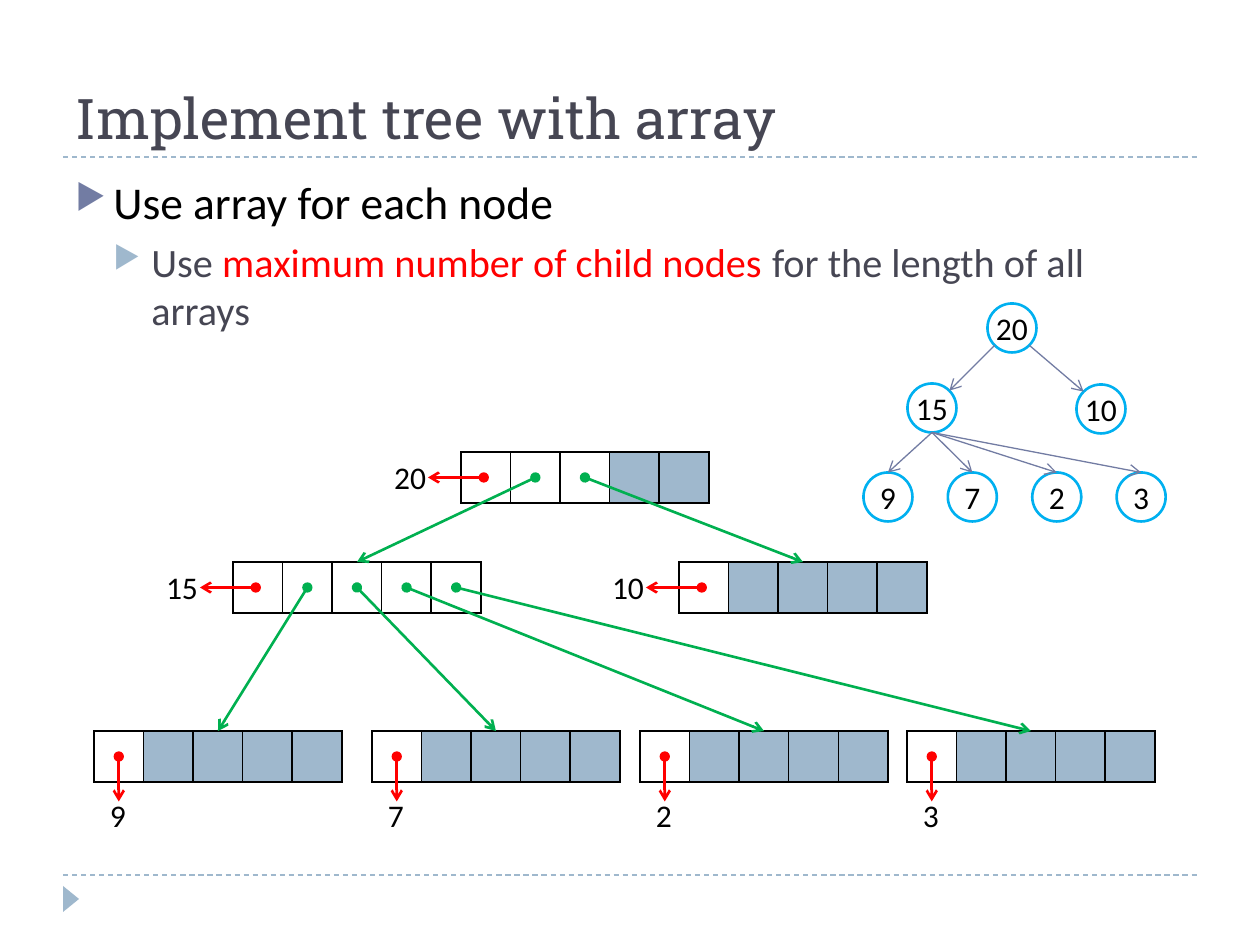
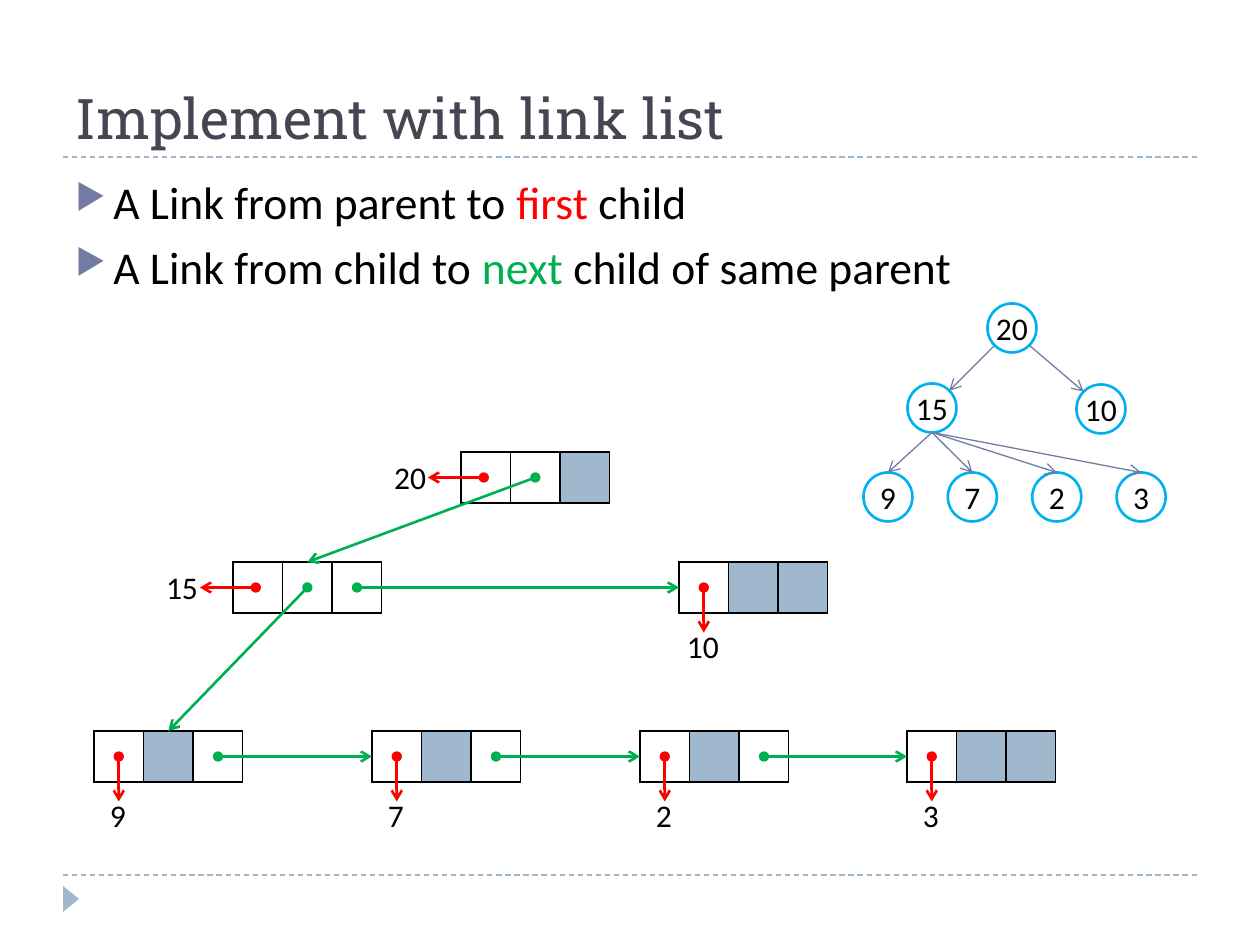
import dataclasses

import lxml.etree
import pptx
import pptx.dml.color
import pptx.enum.dml
import pptx.enum.shapes
import pptx.enum.text
import pptx.oxml.ns
import pptx.util


@dataclasses.dataclass(frozen=True)
class Theme:
    ink: str = "000000"
    title: str = "464653"
    band: str = "9FB8CD"
    accent: str = "727CA3"
    red: str = "FF0000"
    green: str = "00B050"
    ring: str = "00B0F0"
    head_font: str = "Roboto Slab"
    body_font: str = "Calibri"
    title_size: int = 32
    body_sizes: tuple = (26, 23)
    value_size: int = 18
    thin: float = 0.75
    thick: float = 1.5


T = Theme()
SCALE = 914400 / 126
CELL_W, CELL_H = 49.6, 51
NODE = 49

ORIGINS = {
    "20": (461, 452), "15": (233, 562), "10": (679, 562),
    "9": (94, 731), "7": (372, 731), "2": (640, 731), "3": (907, 731),
}
NODES = {"20": (1012, 328), "15": (932, 408), "10": (1101, 409)}
LEAVES = ["9", "7", "2", "3"]
NODES.update({leaf: (888 + 84.4 * i, 497) for i, leaf in enumerate(LEAVES)})

SLIDES = [
    {
        "title": "Implement tree with array",
        "body": [
            (0, [("Use array for each node", T.ink)]),
            (1, [("Use ", T.title), ("maximum number of child nodes ", T.red),
                 ("for the length of all arrays", T.title)]),
        ],
        "arrays": {"20": "xxx--", "15": "xxxxx", "10": "x----",
                   "9": "x----", "7": "x----", "2": "x----", "3": "x----"},
        "links": [("20", 1, "15"), ("20", 2, "10"), ("15", 1, "9"),
                  ("15", 2, "7"), ("15", 3, "2"), ("15", 4, "3")],
        "values_left": ["20", "15", "10"],
    },
    {
        "title": "Implement with link list",
        "body": [
            (0, [("A Link from parent to ", T.ink), ("first", T.red),
                 (" child", T.ink)]),
            (0, [("A Link from child to ", T.ink), ("next", T.green),
                 (" child of same parent", T.ink)]),
        ],
        "arrays": {"20": "xx-", "15": "xxx", "10": "x--",
                   "9": "x-x", "7": "x-x", "2": "x-x", "3": "x--"},
        "links": [("20", 1, "15"), ("15", 1, "9"), ("15", 2, "10"),
                  ("9", 2, "7"), ("7", 2, "2"), ("2", 2, "3")],
        "values_left": ["20", "15"],
    },
]


def px(n):
    return pptx.util.Emu(round(n * SCALE))


def rgb(color):
    return pptx.dml.color.RGBColor.from_string(color)


def sub(parent, tag, **attrs):
    return lxml.etree.SubElement(parent, pptx.oxml.ns.qn(tag), attrs)


def write(p, text, size=T.value_size, color=T.ink, font=T.body_font, align=None):
    r = p.add_run()
    r.text = text
    r.font.size = pptx.util.Pt(size)
    r.font.name = font
    r.font.color.rgb = rgb(color)
    if align is not None:
        p.alignment = align


def add_line(slide, start, end, color, width, head=None, tail=None, dash=False):
    c = slide.shapes.add_connector(
        pptx.enum.shapes.MSO_CONNECTOR.STRAIGHT, *map(px, (*start, *end)))
    c.line.color.rgb = rgb(color)
    c.line.width = pptx.util.Pt(width)
    if dash:
        c.line.dash_style = pptx.enum.dml.MSO_LINE.DASH
    ln = c.line._get_or_add_ln()
    if head:
        sub(ln, "a:headEnd", type=head)
    if tail:
        sub(ln, "a:tailEnd", type=tail)
    sub(c._element.spPr, "a:effectLst")


def add_frame(slide, title):
    for y in (157, 875):
        add_line(slide, (63, y), (1197, y), T.band, T.thin, dash=True)
    sp = slide.shapes.add_shape(
        pptx.enum.shapes.MSO_SHAPE.ISOSCELES_TRIANGLE, *map(px, (58, 891, 26, 16)))
    sp.rotation = 90
    sp.shadow.inherit = False
    sp.fill.solid()
    sp.fill.fore_color.rgb = rgb(T.band)
    sp.line.fill.background()
    sp = slide.shapes.title
    sp.left, sp.top, sp.width, sp.height = map(px, (63, 21, 1134, 136))
    tf = sp.text_frame
    tf.auto_size = pptx.enum.text.MSO_AUTO_SIZE.NONE
    tf.vertical_anchor = pptx.enum.text.MSO_ANCHOR.BOTTOM
    write(tf.paragraphs[0], title, size=T.title_size, color=T.title,
          font=T.head_font, align=pptx.enum.text.PP_ALIGN.LEFT)


def add_body(slide, items):
    tf = slide.shapes.add_textbox(*map(px, (63, 168, 1134, 680))).text_frame
    tf.word_wrap = True
    for i, (level, runs) in enumerate(items):
        p = tf.add_paragraph() if i else tf.paragraphs[0]
        p.level = level
        p.space_before = pptx.util.Pt(6 - level)
        pPr = p._p.get_or_add_pPr()
        pPr.set("marL", str(px(38 * (level + 1))))
        pPr.set("indent", str(px(-38)))
        sub(sub(pPr, "a:buClr"), "a:srgbClr", val=(T.accent, T.band)[level])
        sub(pPr, "a:buSzPct", val="76000")
        sub(pPr, "a:buChar", char="\u25b6")
        for text, color in runs:
            write(p, text, size=T.body_sizes[level], color=color)


def add_array(slide, origin, cells):
    size = (len(cells) * CELL_W, CELL_H)
    table = slide.shapes.add_table(1, len(cells), *map(px, (*origin, *size))).table
    table.first_row = table.horz_banding = False
    for i, mark in enumerate(cells):
        table.columns[i].width = px(CELL_W)
        cell = table.cell(0, i)
        tcPr = cell._tc.get_or_add_tcPr()
        for side in "LRTB":
            ln = sub(tcPr, f"a:ln{side}", w=str(pptx.util.Pt(1)))
            sub(sub(ln, "a:solidFill"), "a:srgbClr", val=T.ink)
        if mark == "-":
            cell.fill.solid()
            cell.fill.fore_color.rgb = rgb(T.band)
        else:
            cell.fill.background()


def cell_center(key, i):
    x, y = ORIGINS[key]
    return x + (i + 0.5) * CELL_W, y + CELL_H / 2


def add_link(slide, arrays, source, i, target):
    x, y = ORIGINS[target]
    if y == ORIGINS[source][1]:
        end = (x, y + CELL_H / 2)
    else:
        end = (x + len(arrays[target]) * CELL_W / 2, y)
    add_line(slide, cell_center(source, i), end, T.green, T.thick, "oval", "arrow")


def add_value(slide, key, to_left):
    x, y = ORIGINS[key]
    cx, cy = cell_center(key, 0)
    if to_left:
        start, end, label = (cx - 2, cy), (x - 33, cy), (x - 51, y)
    else:
        start, end, label = (cx, cy), (cx, cy + 45), (cx - 1, y + 59)
    add_line(slide, start, end, T.red, T.thick, "oval", "arrow")
    w = 57 if len(key) > 1 else 42
    box = (label[0] - w / 2, label[1], w, 50)
    tf = slide.shapes.add_textbox(*map(px, box)).text_frame
    tf.word_wrap = False
    write(tf.paragraphs[0], key, align=pptx.enum.text.PP_ALIGN.CENTER)


def add_tree(slide):
    half, diag = NODE / 2, NODE / 2 * 0.71
    for key, (x, y) in NODES.items():
        sp = slide.shapes.add_shape(
            pptx.enum.shapes.MSO_SHAPE.OVAL,
            *map(px, (x - half, y - half, NODE, NODE)))
        sp.shadow.inherit = False
        sp.fill.background()
        sp.line.color.rgb = rgb(T.ring)
        sp.line.width = pptx.util.Pt(T.thick)
        tf = sp.text_frame
        tf.margin_left = tf.margin_right = tf.margin_top = tf.margin_bottom = 0
        tf.vertical_anchor = pptx.enum.text.MSO_ANCHOR.MIDDLE
        tf.word_wrap = False
        write(tf.paragraphs[0], key, align=pptx.enum.text.PP_ALIGN.CENTER)
    edges = [("20", "15", -diag, diag), ("20", "10", diag, diag)]
    edges += [("15", leaf, 0, half) for leaf in LEAVES]
    for parent, child, dx, dy in edges:
        (x1, y1), (x2, y2) = NODES[parent], NODES[child]
        add_line(slide, (x1 + dx, y1 + dy), (x2 - dx, y2 - dy),
                 T.accent, T.thin, tail="arrow")


prs = pptx.Presentation()
prs.slide_width, prs.slide_height = px(1260), px(945)
for content in SLIDES:
    slide = prs.slides.add_slide(prs.slide_layouts[5])
    add_frame(slide, content["title"])
    add_body(slide, content["body"])
    for key, cells in content["arrays"].items():
        add_array(slide, ORIGINS[key], cells)
    for link in content["links"]:
        add_link(slide, content["arrays"], *link)
    for key in ORIGINS:
        add_value(slide, key, key in content["values_left"])
    add_tree(slide)
prs.save("out.pptx")
